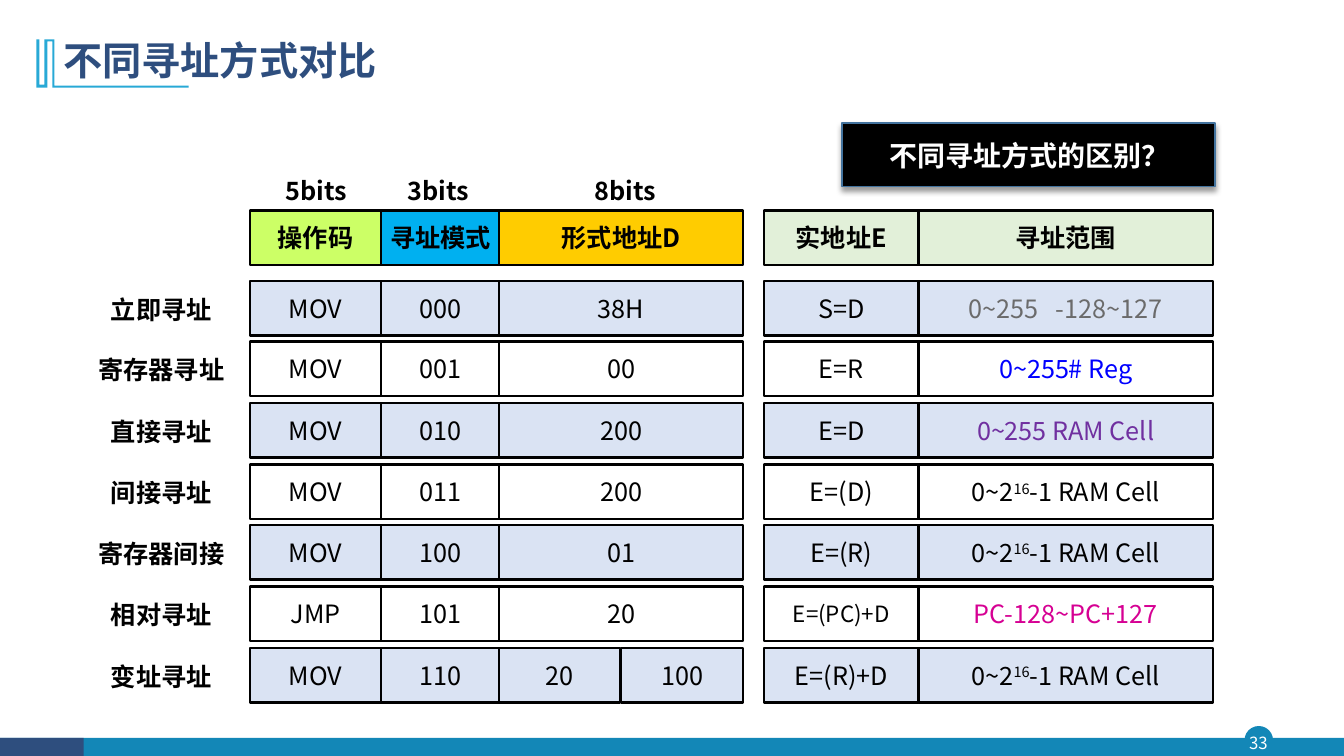
from lxml import etree
from pptx import Presentation
from pptx import util as u
from pptx.dml.color import RGBColor
from pptx.enum import shapes, text
from pptx.oxml import ns

PX = 9144  # EMU in one px, 100 px to the inch

WHITE = RGBColor(0xFF, 0xFF, 0xFF)
BLACK = RGBColor(0x00, 0x00, 0x00)
NAVY = RGBColor(0x2E, 0x4E, 0x7E)
TEAL = RGBColor(0x13, 0x87, 0xB7)
SKY = RGBColor(0x28, 0xA9, 0xD6)
BAND = RGBColor(0xDA, 0xE3, 0xF3)
LIME = RGBColor(0xCC, 0xFF, 0x66)
CYAN = RGBColor(0x00, 0xB0, 0xF0)
AMBER = RGBColor(0xFF, 0xCC, 0x00)
PALE_GREEN = RGBColor(0xE2, 0xF0, 0xD9)
BANNER_LINE = RGBColor(0x43, 0x73, 0x9E)
GREY = RGBColor(0x6B, 0x6B, 0x6B)
BLUE = RGBColor(0x00, 0x00, 0xFF)
PURPLE = RGBColor(0x70, 0x30, 0xA0)
MAGENTA = RGBColor(0xD6, 0x00, 0x93)

FONT = "Noto Sans CJK SC"
TITLE_FONT = "Noto Sans CJK JP"

SUPERSCRIPT = {"baseline": "30000"}
WIDE = {"spc": "800"}
RAM_RANGE = [("0~2", {}), ("16", SUPERSCRIPT), ("-1 RAM Cell", {})]

ROW_HEIGHT = 54
FORMAT_COLUMNS = [(0, 130), (130, 118), (247, 242)]
SPLIT_COLUMNS = FORMAT_COLUMNS[:2] + [(247, 120), (368, 121)]
RESULT_COLUMNS = [(0, 153), (153, 292)]

# Mode name, instruction fields, effective address, range, range colour
MODES = [
    ("立即寻址", ["MOV", "000", "38H"], "S=D",
     [("0~255", {}), (" ", WIDE), ("-128~127", {})], GREY),
    ("寄存器寻址", ["MOV", "001", "00"], "E=R", "0~255# Reg", BLUE),
    ("直接寻址", ["MOV", "010", "200"], "E=D", "0~255 RAM Cell", PURPLE),
    ("间接寻址", ["MOV", "011", "200"], "E=(D)", RAM_RANGE, BLACK),
    ("寄存器间接", ["MOV", "100", "01"], "E=(R)", RAM_RANGE, BLACK),
    ("相对寻址", ["JMP", "101", "20"], "E=(PC)+D", "PC-128~PC+127", MAGENTA),
    ("变址寻址", ["MOV", "110", "20", "100"], "E=(R)+D", RAM_RANGE, BLACK),
]


def write(shape, content, size=18, color=BLACK, bold=False, font=FONT,
          align=text.PP_ALIGN.CENTER, wrap=False):
    """Fill a shape with one paragraph; content is a string or (text, attributes) runs."""
    frame = shape.text_frame
    frame.word_wrap = wrap
    frame.vertical_anchor = text.MSO_ANCHOR.MIDDLE
    paragraph = frame.paragraphs[0]
    paragraph.alignment = align
    runs = [(content, {})] if isinstance(content, str) else content
    for words, attributes in runs:
        run = paragraph.add_run()
        run.text = words
        run.font.size = u.Pt(size)
        run.font.bold = bold
        run.font.color.rgb = color
        run.font.name = font
        properties = run.font._element
        etree.SubElement(properties, ns.qn("a:ea")).set("typeface", font)
        for name, value in attributes.items():
            properties.set(name, value)
    return paragraph


def add_box(slide, x, y, width, height, fill, line=None, line_width=1.75,
            kind=shapes.MSO_SHAPE.RECTANGLE):
    shape = slide.shapes.add_shape(kind, x * PX, y * PX, width * PX, height * PX)
    shape.shadow.inherit = False
    shape.fill.solid()
    shape.fill.fore_color.rgb = fill
    if line is None:
        shape.line.fill.background()
    else:
        shape.line.color.rgb = line
        shape.line.width = u.Pt(line_width)
    return shape


def add_text(slide, x, y, width, height):
    return slide.shapes.add_textbox(x * PX, y * PX, width * PX, height * PX)


def add_cells(slide, x, y, columns, contents, fills, colors=None, sizes=None, bold=False):
    """One row of bordered cells starting at x, y."""
    for index, ((left, width), content) in enumerate(zip(columns, contents)):
        cell = add_box(slide, x + left, y, width, ROW_HEIGHT, fills[index], BLACK)
        write(cell, content, sizes[index] if sizes else 18,
              colors[index] if colors else BLACK, bold)


def add_footer(slide, x, y, width, height):
    add_box(slide, x + 1235, y - 11, 27, 27, TEAL, TEAL, 1, shapes.MSO_SHAPE.OVAL)
    add_box(slide, x, y, width, height, TEAL)
    add_box(slide, x, y, 83, height, NAVY)
    number = add_text(slide, x + 1232, y - 11, 32, 31)
    frame = number.text_frame
    frame.margin_left = frame.margin_right = frame.margin_top = frame.margin_bottom = 0
    write(number, "33", 12, WHITE)


def add_title(slide, x, y, width, height):
    # Bracket ornament with underline
    outline = [(18, 46), (151, 46), (151, 48), (16, 48), (16, 2), (11, 2), (11, 48),
               (0, 48), (0, 0), (3, 0), (3, 45), (8, 45), (8, 0), (18, 0)]
    left, top = x - 17, y + 11
    points = [(left + dx, top + dy) for dx, dy in outline]
    builder = slide.shapes.build_freeform(*points[0], scale=PX)
    builder.add_line_segments(points[1:], close=True)
    ornament = builder.convert_to_shape()
    ornament.shadow.inherit = False
    ornament.fill.solid()
    ornament.fill.fore_color.rgb = SKY
    ornament.line.fill.background()
    # Heading
    heading = add_text(slide, x, y, width, height)
    paragraph = write(heading, "不同寻址方式对比", 28, NAVY, True, TITLE_FONT,
                      text.PP_ALIGN.LEFT, True)
    paragraph.line_spacing = 0.9


def add_header(slide, x, y, result_x):
    # Field widths above the instruction format
    for left, bits in [(24, "5bits"), (145, "3bits"), (331, "8bits")]:
        write(add_text(slide, x + left, y - 40, 83, 40), bits, bold=True)
    add_cells(slide, x, y, FORMAT_COLUMNS, ["操作码", "寻址模式", "形式地址D"],
              [LIME, CYAN, AMBER], bold=True)
    add_cells(slide, result_x, y, RESULT_COLUMNS, ["实地址E", "寻址范围"],
              [PALE_GREEN] * 2, bold=True)


def add_modes(slide, x, y, label_x, result_x):
    for index, (name, fields, address, reach, color) in enumerate(MODES):
        top = y + index * 182 // 3
        fills = [WHITE if index % 2 else BAND] * 4
        label = add_box(slide, label_x, top + 1, 154, ROW_HEIGHT, WHITE, WHITE)
        write(label, name, bold=True)
        columns = SPLIT_COLUMNS if len(fields) == 4 else FORMAT_COLUMNS
        add_cells(slide, x, top, columns, fields, fills)
        address_size = 16 if len(address) > 7 else 18
        add_cells(slide, result_x, top, RESULT_COLUMNS, [address, reach], fills,
                  [BLACK, color], [address_size, 18])


def add_banner(slide, x, y, width, height):
    banner = add_box(slide, x, y, width, height, BLACK, BANNER_LINE, 1)
    effects = banner._element.spPr.find(ns.qn("a:effectLst"))
    shadow = etree.SubElement(effects, ns.qn("a:outerShdw"), blurRad=str(u.Pt(4)),
                              dist=str(u.Pt(3)), dir="5400000", rotWithShape="0")
    shade = etree.SubElement(shadow, ns.qn("a:srgbClr"), val=str(BLACK))
    etree.SubElement(shade, ns.qn("a:alpha"), val="40000")
    question = add_text(slide, x + 11, y + 10, width - 20, height - 19)
    write(question, "不同寻址方式的区别？", 20, WHITE, True, wrap=True)


def main():
    presentation = Presentation()
    presentation.slide_width = 1333 * PX
    presentation.slide_height = 750 * PX
    slide = presentation.slides.add_slide(presentation.slide_layouts[6])
    add_footer(slide, 0, 732, 1333, 18)
    add_title(slide, 53, 28, 1150, 68)
    add_modes(slide, 248, 279, 83, 758)
    add_header(slide, 248, 209, 758)
    add_banner(slide, 835, 122, 370, 63)
    presentation.save("out.pptx")


if __name__ == "__main__":
    main()
